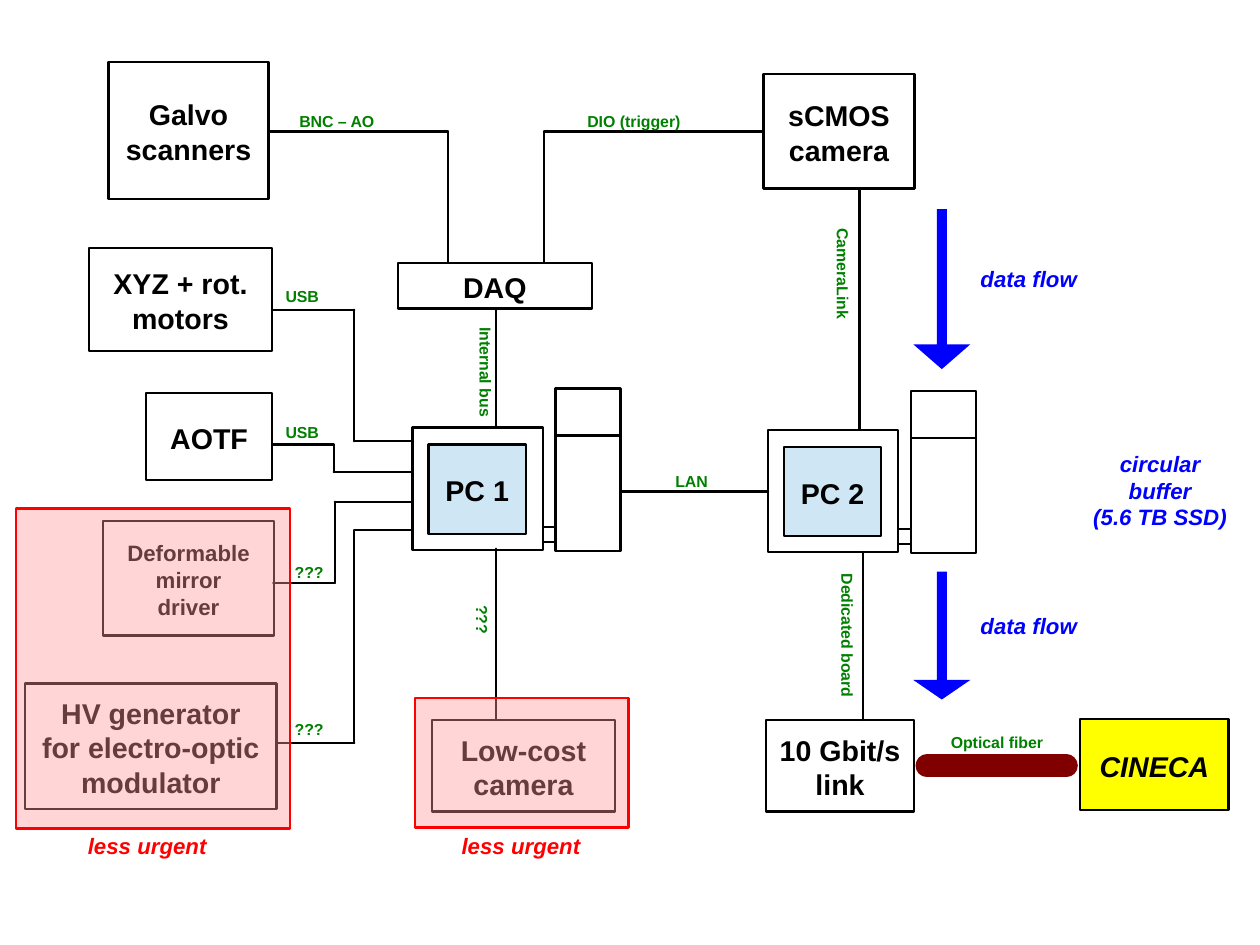
from itertools import pairwise

from lxml.etree import SubElement
from pptx import Presentation
from pptx.dml.color import RGBColor
from pptx.enum.shapes import MSO_CONNECTOR as Wire, MSO_SHAPE as Preset
from pptx.enum.text import MSO_ANCHOR as Anchor, PP_ALIGN as Align
from pptx.oxml.ns import qn
from pptx.util import Mm, Pt

PX = 9144
FONT = "Arial"
BLACK = RGBColor(0, 0, 0)
WHITE = RGBColor(255, 255, 255)
SCREEN = RGBColor(0xCF, 0xE7, 0xF5)
YELLOW = RGBColor(255, 255, 0)
GREEN = RGBColor(0, 0x80, 0)
RED = RGBColor(255, 0, 0)
PINK = RGBColor(255, 0x96, 0x96)
BLUE = RGBColor(0, 0, 255)
MAROON = RGBColor(0x80, 0, 0)

COMPUTERS = [("PC 1", 361, 374), ("PC 2", 672, 376)]

DEVICES = [
    (["DAQ"], (348, 230, 170, 40), 18),
    (["sCMOS", "camera"], (668, 65, 132, 100), 18),
    (["10 Gbit/s", "link"], (670, 630, 130, 80), 18),
    (["AOTF"], (128, 344, 110, 76), 18),
    (["Galvo", "scanners"], (95, 54, 140, 120), 18),
    (["Deformable", "mirror", "driver"], (90, 456, 150, 100), 14),
    (["HV generator", "for electro-optic", "modulator"], (22, 598, 220, 110), 18),
    (["Low-cost", "camera"], (378, 630, 160, 80), 18),
    (["XYZ + rot.", "motors"], (78, 217, 160, 90), 18),
]

ROUTES = [
    [(235, 115), (392, 115), (392, 230)],
    [(668, 115), (476, 115), (476, 230)],
    [(238, 271), (310, 271), (310, 386), (361, 386)],
    [(238, 389), (292, 389), (292, 413), (361, 413)],
    [(239, 510), (293, 510), (293, 439), (361, 439)],
    [(242, 650), (310, 650), (310, 464), (361, 464)],
    [(434, 270), (434, 374)],
    [(434, 480), (434, 630)],
    [(543, 430), (672, 430)],
    [(752, 165), (752, 376)],
    [(755, 483), (755, 630)],
]
FIBER = [(811, 670), (933, 670)]

LINK_LABELS = [
    ("USB", (240, 245, 60, 25), 0),
    ("BNC – AO", (252, 92, 128, 25), 0),
    ("DIO (trigger)", (504, 92, 128, 25), 0),
    ("???", (248, 486, 60, 25), 0),
    ("USB", (240, 364, 60, 25), 0),
    ("???", (248, 624, 60, 25), 0),
    ("???", (394, 537, 60, 25), 90),
    ("LAN", (581, 407, 50, 25), 0),
    ("Dedicated board", (649, 574, 189, 25), 90),
    ("CameraLink", (663, 254, 153, 25), 90),
    ("Internal bus", (351, 337, 149, 28), 90),
    ("Optical fiber", (822, 635, 111, 25), 0),
]

ZONES = [(14, 445, 240, 280), (363, 611, 187, 113)]
FLOWS = [((799, 183, 50, 140), 0.435), ((799, 500, 50, 112), 0.343)]

NOTES = [
    (["less urgent"], (67, 722, 140, 32), RED, Align.LEFT),
    (["less urgent"], (394, 722, 140, 32), RED, Align.LEFT),
    (["data flow"], (848, 226, 140, 32), BLUE, Align.LEFT),
    (["data flow"], (848, 530, 140, 32), BLUE, Align.LEFT),
    (["circular buffer", "(5.6 TB SSD)"], (943, 388, 144, 110), BLUE, Align.CENTER),
]

deck = Presentation()
deck.slide_width, deck.slide_height = Mm(280), Mm(210)
page = deck.slides.add_slide(deck.slide_layouts[6])


def write(shape, lines, size, color, align, margins, italic=False):
    frame = shape.text_frame
    (frame.margin_left, frame.margin_top,
     frame.margin_right, frame.margin_bottom) = [m * PX for m in margins]
    for index, line in enumerate(lines):
        para = frame.add_paragraph() if index else frame.paragraphs[0]
        para.alignment = align
        span = para.add_run()
        span.text = line
        font = span.font
        font.name, font.size, font.bold, font.italic = FONT, Pt(size), True, italic
        font.color.rgb = color


def add_box(area, fill, line=BLACK, preset=Preset.RECTANGLE):
    box = page.shapes.add_shape(preset, *[v * PX for v in area])
    box.shadow.inherit = False
    box.fill.solid()
    box.fill.fore_color.rgb = fill
    if line is None:
        box.line.fill.background()
    else:
        box.line.color.rgb = line
        box.line.width = Pt(1.44)
    return box


def add_named_box(lines, area, size, fill=WHITE, italic=False):
    box = add_box(area, fill)
    box.text_frame.word_wrap = False
    box.text_frame.vertical_anchor = Anchor.MIDDLE
    write(box, lines, size, BLACK, Align.CENTER, (11, 8, 11, 6), italic)


def add_label(lines, area, size, color, align=Align.LEFT, turn=0, italic=False):
    label = page.shapes.add_textbox(*[v * PX for v in area])
    label.rotation = turn
    label.text_frame.word_wrap = True
    write(label, lines, size, color, align, (10, 6, 10, 5), italic)


def add_route(points, color=BLACK, width=1.44):
    for start, end in pairwise(points):
        wire = page.shapes.add_connector(
            Wire.STRAIGHT, *[v * PX for v in start + end])
        wire.line.color.rgb = color
        wire.line.width = Pt(width)
        wire.line._get_or_add_ln().set("cap", "rnd")
        SubElement(wire._element.spPr, qn("a:effectLst"))


def add_computer(name, left, top):
    add_box((left, top, 114, 107), WHITE)
    add_named_box([name], (left + 14, top + 15, 85, 78), 18, SCREEN)
    tower = left + 125
    add_box((tower, top - 34, 57, 142), WHITE)
    add_route([(tower, top + 7), (tower + 57, top + 7)])
    for drop in (87, 100):
        add_route([(left + 114, top + drop), (tower, top + drop)])


for computer in COMPUTERS:
    add_computer(*computer)
for device in DEVICES:
    add_named_box(*device)
add_named_box(["CINECA"], (945, 629, 130, 80), 18, YELLOW, italic=True)

for route in ROUTES:
    add_route(route)
add_route(FIBER, MAROON, 14.4)

for text, area, turn in LINK_LABELS:
    add_label([text], area, 10, GREEN, turn=turn)

for area in ZONES:
    zone = add_box(area, PINK, RED)
    tint = zone._element.spPr.find(qn("a:solidFill"))[0]
    SubElement(tint, qn("a:alpha")).set("val", "40000")

for area, head in FLOWS:
    arrow = add_box(area, BLUE, None, Preset.DOWN_ARROW)
    arrow.adjustments[0], arrow.adjustments[1] = 0.176, head

for lines, area, color, align in NOTES:
    add_label(lines, area, 14, color, align, italic=True)

deck.save("out.pptx")
